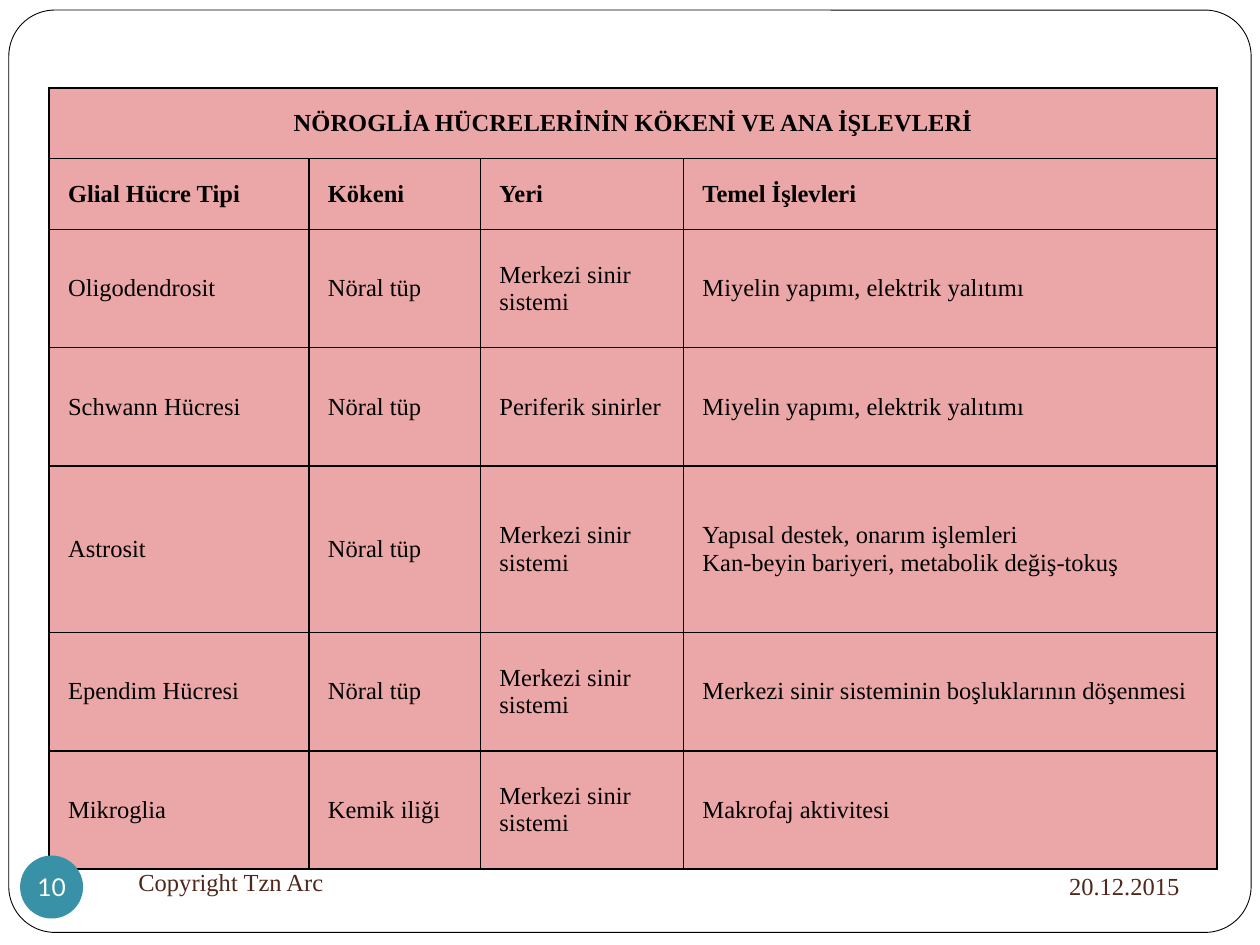
from lxml import etree
from pptx import Presentation
from pptx.dml.color import RGBColor
from pptx.enum import shapes, text
from pptx.oxml import ns
from pptx.util import Inches, Pt

BLACK = RGBColor(0x00, 0x00, 0x00)
WHITE = RGBColor(0xFF, 0xFF, 0xFF)
PINK = RGBColor(0xEB, 0xA7, 0xA8)
TEAL = RGBColor(0x38, 0x91, 0xA7)
BROWN = RGBColor(0x4F, 0x27, 0x1C)
SERIF = "Times New Roman"

TITLE = "NÖROGLİA HÜCRELERİNİN KÖKENİ VE ANA İŞLEVLERİ"
CENTRAL = "Merkezi sinir\nsistemi"
MYELIN = "Miyelin yapımı, elektrik yalıtımı"
ROWS = [
    (TITLE, "", "", ""),
    ("Glial Hücre Tipi", "Kökeni", "Yeri", "Temel İşlevleri"),
    ("Oligodendrosit", "Nöral tüp", CENTRAL, MYELIN),
    ("Schwann Hücresi", "Nöral tüp", "Periferik sinirler", MYELIN),
    ("Astrosit", "Nöral tüp", CENTRAL,
     "Yapısal destek, onarım işlemleri\nKan-beyin bariyeri, metabolik değiş-tokuş"),
    ("Ependim Hücresi", "Nöral tüp", CENTRAL,
     "Merkezi sinir sisteminin boşluklarının döşenmesi"),
    ("Mikroglia", "Kemik iliği", CENTRAL, "Makrofaj aktivitesi"),
]
COLUMN_WIDTHS = [2.06, 1.36, 1.61, 4.23]
ROW_HEIGHTS = [0.56, 0.56, 0.94, 0.94, 1.32, 0.94, 0.94]


def style_text(frame, color, font=SERIF, align=text.PP_ALIGN.LEFT, bold=False):
    for paragraph in frame.paragraphs:
        paragraph.alignment = align
        paragraph.font.name = font
        paragraph.font.size = Pt(14)
        paragraph.font.bold = bold
        paragraph.font.color.rgb = color


def add_borders(cell):
    properties = cell._tc.get_or_add_tcPr()
    for side in ("a:lnL", "a:lnR", "a:lnT", "a:lnB"):
        line = etree.SubElement(properties, ns.qn(side), w=str(Pt(1)))
        fill = etree.SubElement(line, ns.qn("a:solidFill"))
        etree.SubElement(fill, ns.qn("a:srgbClr"), val=str(BLACK))


def add_frame(slide, left, top, width, height):
    frame = slide.shapes.add_shape(
        shapes.MSO_SHAPE.ROUNDED_RECTANGLE, left, top, width, height)
    frame.adjustments[0] = 0.05
    frame.shadow.inherit = False
    frame.fill.solid()
    frame.fill.fore_color.rgb = WHITE
    frame.line.color.rgb = BLACK
    frame.line.width = Pt(0.5)


def add_glia_table(slide, left, top, width, height):
    table = slide.shapes.add_table(
        len(ROWS), len(COLUMN_WIDTHS), left, top, width, height).table
    for column, share in zip(table.columns, COLUMN_WIDTHS):
        column.width = int(width * share / sum(COLUMN_WIDTHS))
    for row, share in zip(table.rows, ROW_HEIGHTS):
        row.height = int(height * share / sum(ROW_HEIGHTS))
    for r, row in enumerate(ROWS):
        for c, content in enumerate(row):
            cell = table.cell(r, c)
            cell.text = content
            cell.vertical_anchor = text.MSO_ANCHOR.MIDDLE
            cell.margin_left = Inches(0.15 if r else 0.1)
            add_borders(cell)
            cell.fill.solid()
            cell.fill.fore_color.rgb = PINK
            align = text.PP_ALIGN.LEFT if r else text.PP_ALIGN.CENTER
            style_text(cell.text_frame, BLACK, align=align, bold=r < 2)
    table.cell(0, 0).merge(table.cell(0, len(COLUMN_WIDTHS) - 1))


def add_footer_text(slide, content, align, left, top, width, height):
    frame = slide.shapes.add_textbox(left, top, width, height).text_frame
    frame.word_wrap = True
    frame.vertical_anchor = text.MSO_ANCHOR.MIDDLE
    frame.text = content
    style_text(frame, BROWN, align=align)


def add_page_badge(slide, left, top, size):
    badge = slide.shapes.add_shape(shapes.MSO_SHAPE.OVAL, left, top, size, size)
    badge.shadow.inherit = False
    badge.fill.solid()
    badge.fill.fore_color.rgb = TEAL
    badge.line.fill.background()
    frame = badge.text_frame
    frame.margin_left = frame.margin_right = 0
    frame.margin_top = frame.margin_bottom = 0
    frame.word_wrap = False
    frame.vertical_anchor = text.MSO_ANCHOR.MIDDLE
    frame.text = "10"
    style_text(frame, WHITE, font="Lato", align=text.PP_ALIGN.CENTER)


def main():
    deck = Presentation()
    deck.slide_width, deck.slide_height = Inches(10), Inches(7.5)
    slide = deck.slides.add_slide(deck.slide_layouts[6])
    add_frame(slide, Inches(0.07), Inches(0.08), Inches(9.86), Inches(7.32))
    add_glia_table(slide, Inches(0.39), Inches(0.7), Inches(9.27), Inches(6.2))
    add_footer_text(slide, "20.12.2015", text.PP_ALIGN.RIGHT,
                    Inches(6.75), Inches(6.77), Inches(2.71), Inches(0.52))
    add_page_badge(slide, Inches(0.16), Inches(6.79), Inches(0.5))
    add_footer_text(slide, "Copyright Tzn Arc", text.PP_ALIGN.LEFT,
                    Inches(1), Inches(6.75), Inches(4.33), Inches(0.5))
    deck.save("out.pptx")


if __name__ == "__main__":
    main()
